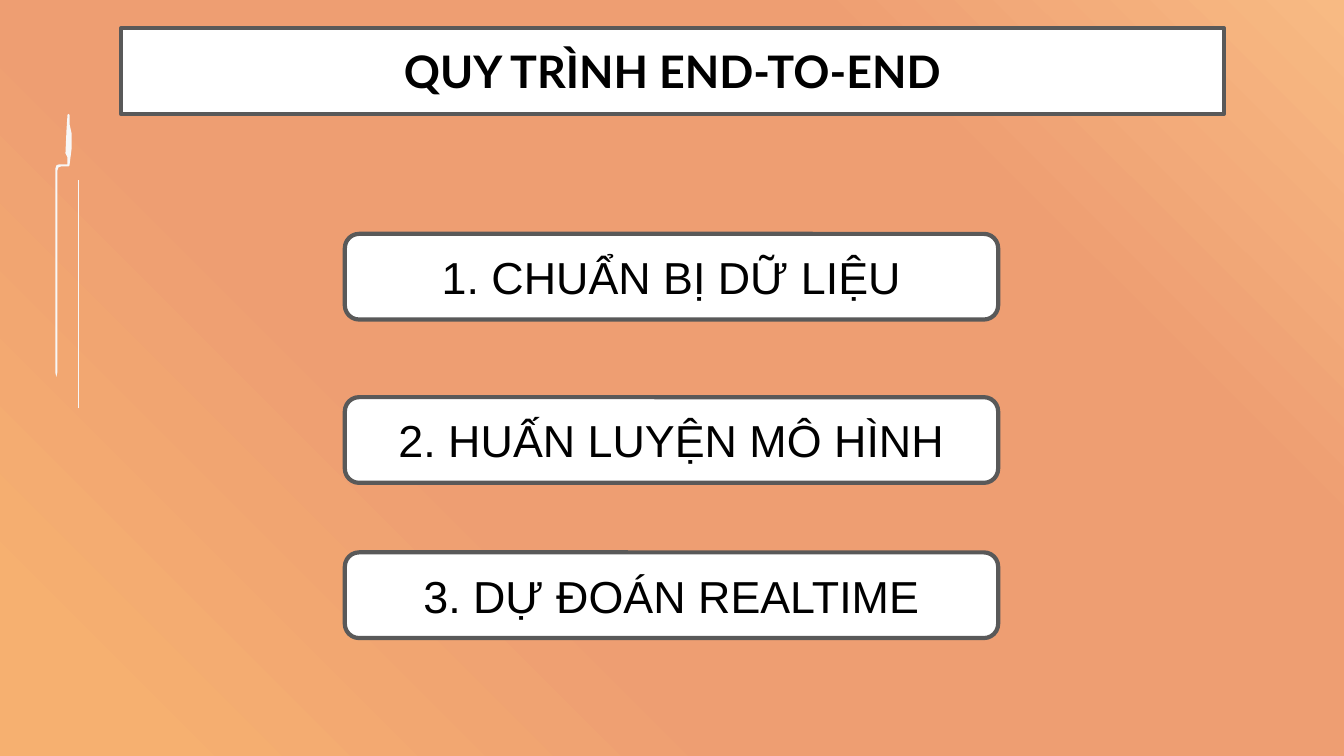
from pptx import Presentation
from pptx.dml.color import RGBColor
from pptx.enum.shapes import MSO_CONNECTOR, MSO_SHAPE
from pptx.enum.text import MSO_ANCHOR, PP_ALIGN
from pptx.oxml import parse_xml
from pptx.oxml.ns import nsdecls, qn
from pptx.util import Inches, Pt

RECTANGLE = MSO_SHAPE.RECTANGLE
ROUNDED = MSO_SHAPE.ROUNDED_RECTANGLE
STRAIGHT = MSO_CONNECTOR.STRAIGHT
MIDDLE = MSO_ANCHOR.MIDDLE
CENTER = PP_ALIGN.CENTER

TITLE = "QUY TRÌNH END-TO-END"
STEPS = [
    ("1. CHUẨN BỊ DỮ LIỆU", 2.32),
    ("2. HUẤN LUYỆN MÔ HÌNH", 3.94),
    ("3. DỰ ĐOÁN REALTIME", 5.48),
]
TITLE_BOX = (1.2, 0.28, 10.94, 0.85)
STEP_LEFT, STEP_WIDTH, STEP_HEIGHT = 3.42, 6.48, 0.85
PEN_OUTLINE = [
    (0.56, 3.74), (0.55, 3.7), (0.55, 1.67), (0.56, 1.64), (0.59, 1.63),
    (0.62, 1.63), (0.67, 1.63), (0.67, 1.56), (0.65, 1.52), (0.66, 1.29),
    (0.67, 1.14), (0.68, 1.13), (0.69, 1.14), (0.69, 1.23), (0.71, 1.32),
    (0.71, 1.48), (0.7, 1.56), (0.69, 1.64), (0.68, 1.65), (0.67, 1.65),
    (0.61, 1.65), (0.58, 1.66), (0.57, 1.69), (0.57, 1.74), (0.57, 3.69),
]
PEN_LINE = (0.78, 4.05, 0.78, 1.79)
THEME = {
    "gradient": [(7, "F6B070"), (36, "EE9E72"), (74, "EE9E72"), (100, "F8BA83")],
    "pen": RGBColor.from_string("F7F7F7"),
    "box": RGBColor.from_string("FFFFFF"),
    "border": RGBColor.from_string("595959"),
    "text": RGBColor.from_string("000000"),
    "title_font": "Lato",
    "step_font": "Arial",
    "size": Pt(32),
    "border_width": Pt(3),
    "pen_width": Pt(1.13),
}


def paint_background(slide):
    slide.background.fill.gradient()
    gradient = slide.element.find(".//" + qn("a:gradFill"))
    stops = "".join(
        f'<a:gs pos="{position * 1000}"><a:srgbClr val="{color}"/></a:gs>'
        for position, color in THEME["gradient"]
    )
    radial = parse_xml(
        f'<a:gradFill {nsdecls("a")} rotWithShape="1"><a:gsLst>{stops}</a:gsLst>'
        '<a:path path="circle"><a:fillToRect t="100000" r="100000"/></a:path>'
        "</a:gradFill>"
    )
    gradient.getparent().replace(gradient, radial)


def draw_pen(slide):
    points = [(Inches(x), Inches(y)) for x, y in PEN_OUTLINE]
    builder = slide.shapes.build_freeform(*points[0])
    builder.add_line_segments(points[1:], close=True)
    pen = builder.convert_to_shape()
    pen.shadow.inherit = False
    pen.fill.solid()
    pen.fill.fore_color.rgb = THEME["pen"]
    pen.line.fill.background()

    line = slide.shapes.add_connector(STRAIGHT, *map(Inches, PEN_LINE))
    line.line.color.rgb = THEME["pen"]
    line.line.width = THEME["pen_width"]
    line.element.spPr.append(parse_xml(f'<a:effectLst {nsdecls("a")}/>'))


def add_box(slide, kind, box, text, font_name, bold=False):
    shape = slide.shapes.add_shape(kind, *map(Inches, box))
    shape.shadow.inherit = False
    shape.fill.solid()
    shape.fill.fore_color.rgb = THEME["box"]
    shape.line.color.rgb = THEME["border"]
    shape.line.width = THEME["border_width"]
    frame = shape.text_frame
    frame.word_wrap = True
    frame.vertical_anchor = MIDDLE
    paragraph = frame.paragraphs[0]
    paragraph.alignment = CENTER
    run = paragraph.add_run()
    run.text = text
    run.font.name = font_name
    run.font.size = THEME["size"]
    run.font.bold = bold
    run.font.color.rgb = THEME["text"]


def main():
    presentation = Presentation()
    presentation.slide_width = Inches(13.33)
    presentation.slide_height = Inches(7.5)
    slide = presentation.slides.add_slide(presentation.slide_layouts[6])
    paint_background(slide)
    draw_pen(slide)
    add_box(slide, RECTANGLE, TITLE_BOX, TITLE, THEME["title_font"], bold=True)
    for text, top in STEPS:
        box = (STEP_LEFT, top, STEP_WIDTH, STEP_HEIGHT)
        add_box(slide, ROUNDED, box, text, THEME["step_font"])
    presentation.save("out.pptx")


if __name__ == "__main__":
    main()
